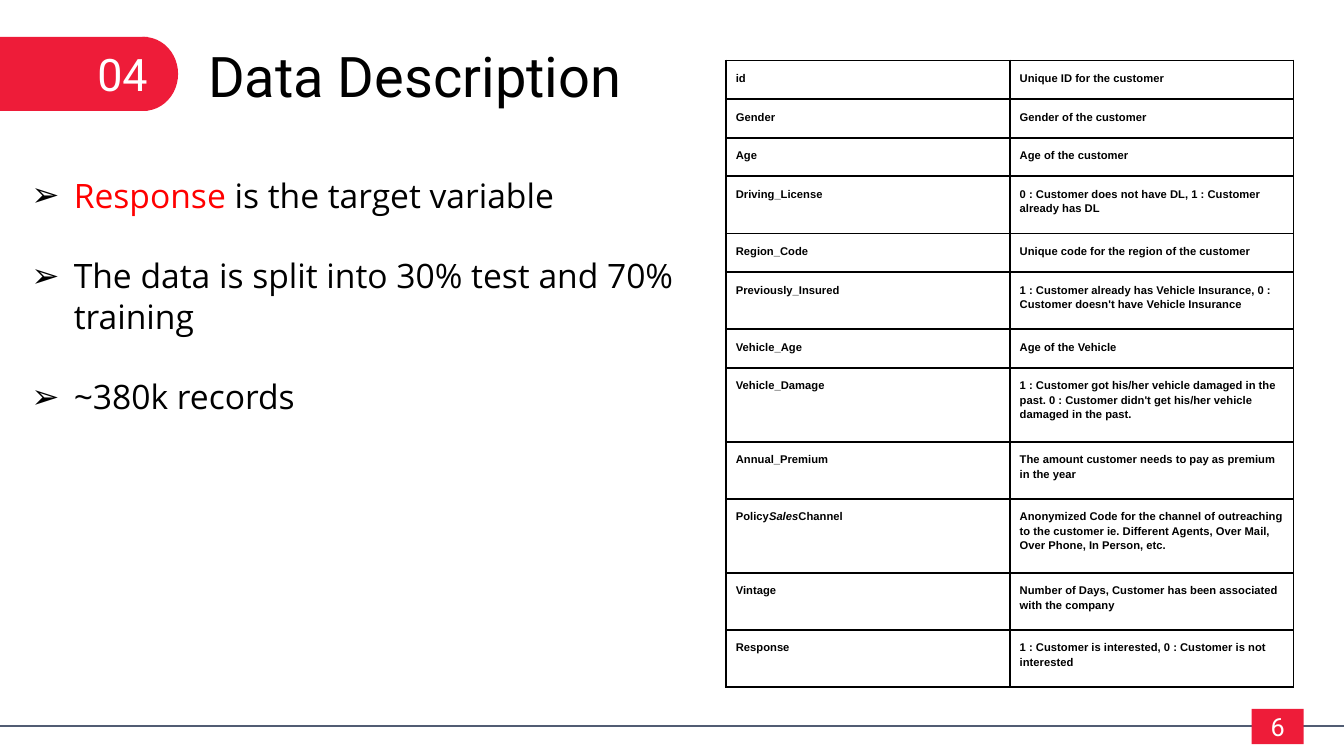
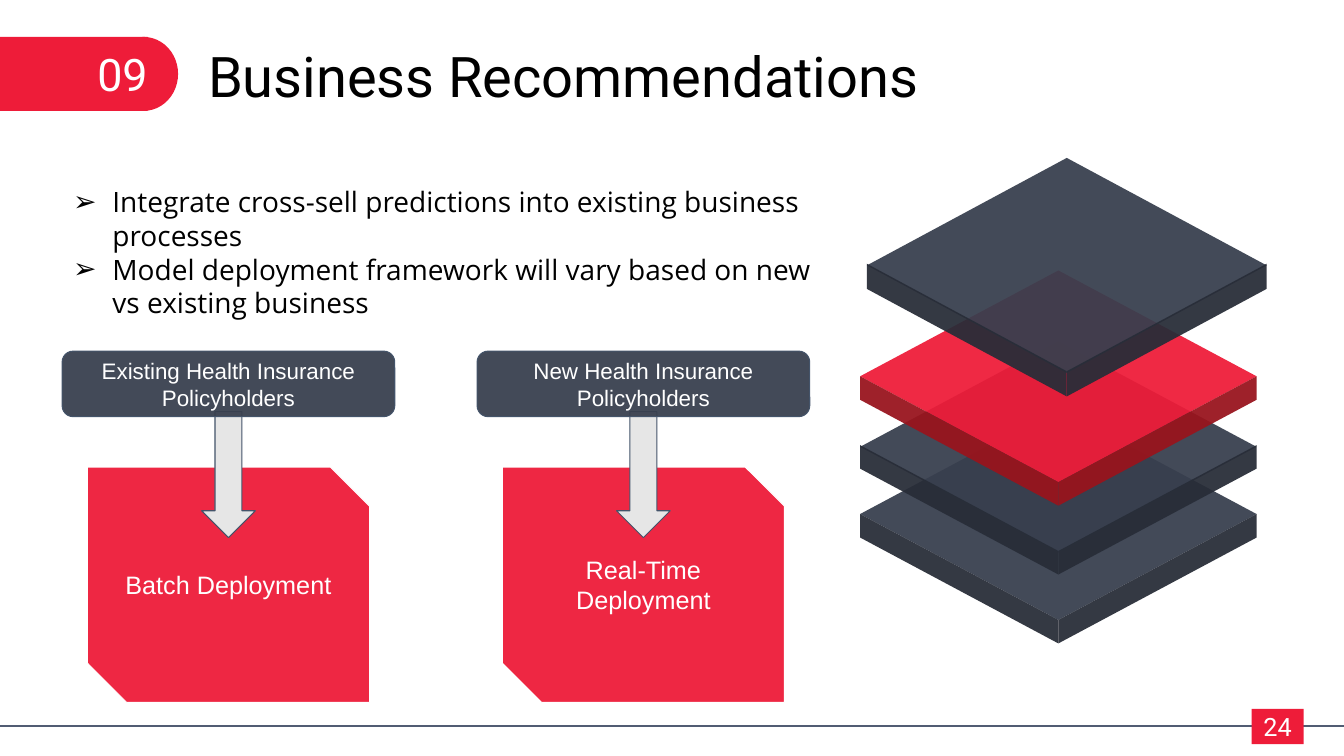
from lxml import etree
from pptx import Presentation
from pptx.dml.color import RGBColor
from pptx.enum.shapes import MSO_CONNECTOR, MSO_SHAPE
from pptx.enum.text import MSO_ANCHOR, PP_ALIGN
from pptx.oxml import parse_xml
from pptx.oxml.ns import qn
from pptx.util import Inches, Pt

RECTANGLE = MSO_SHAPE.RECTANGLE
OVAL = MSO_SHAPE.OVAL
ROUNDED = MSO_SHAPE.ROUNDED_RECTANGLE
SNIPPED = MSO_SHAPE.SNIP_2_DIAG_RECTANGLE
ARROW = MSO_SHAPE.DOWN_ARROW
STRAIGHT = MSO_CONNECTOR.STRAIGHT
CENTER = PP_ALIGN.CENTER
LEFT = PP_ALIGN.LEFT
MIDDLE = MSO_ANCHOR.MIDDLE

COLORS = {
    "red": "EE1C39", "dark red": "98141D", "slate": "383F4E",
    "dark slate": "282D38", "rule": "515C73", "outline": "44546A",
    "gray": "E6E6E6", "white": "FFFFFF", "black": "000000",
    "highlight": "FF0000",
}
DRAWING = "http://schemas.openxmlformats.org/drawingml/2006/main"
BULLET = "➢"

deck = Presentation()
deck.slide_width = Inches(13.33)
deck.slide_height = Inches(7.5)
COLUMN = deck.slide_width // 800
ROW = deck.slide_height // 450


def paint(shape, fill, opacity=100, line=None):
    shape.shadow.inherit = False
    shape.fill.solid()
    shape.fill.fore_color.rgb = RGBColor.from_string(COLORS[fill])
    if opacity < 100:
        color = shape._element.spPr.find(qn("a:solidFill"))[0]
        etree.SubElement(color, qn("a:alpha"), val=str(opacity * 1000))
    if line:
        shape.line.color.rgb = RGBColor.from_string(COLORS[line])
        shape.line.width = Pt(0.75)
    else:
        shape.line.fill.background()


def write(frame, texts, size, font, color, align=LEFT, inset=0.05):
    frame.word_wrap = True
    frame.margin_top = frame.margin_bottom = Inches(inset)
    for index, text in enumerate(texts):
        para = frame.add_paragraph() if index else frame.paragraphs[0]
        para.alignment = align
        for part in text.split("|"):
            span = para.add_run()
            span.text = part
            span.font.size = Pt(size)
            span.font.name = font
            span.font.color.rgb = RGBColor.from_string(COLORS[color])


slides = [
    {"section": "04", "title": "Data Description", "number": "6",
     "box": (8, 98, 413, 158), "size": 24, "gap": 28.8, "hang": 0.42,
     "bullets": ["Response| is the target variable",
                 "The data is split into 30% test and 70% training",
                 "~380k records"]},
    {"section": "09", "title": "Business Recommendations", "number": "24",
     "box": (31, 104, 466, 113), "size": 20, "gap": 0, "hang": 0.39,
     "bullets": ["Integrate cross-sell predictions into existing business processes",
                 "Model deployment framework will vary based on new vs existing business"]},
]

for content in slides:
    page = deck.slides.add_slide(deck.slide_layouts[6])
    rule = page.shapes.add_connector(STRAIGHT, 0, 432 * ROW, deck.slide_width, 432 * ROW)
    rule.line.color.rgb = RGBColor.from_string(COLORS["rule"])
    rule.line.width = Pt(1.5)
    etree.SubElement(rule._element.spPr, qn("a:effectLst"))

    for kind, left, top, width, height in [
        (RECTANGLE, 0, 22, 88, 44),
        (OVAL, 65, 22, 41, 44),
        (RECTANGLE, 745, 422, 31, 21),
    ]:
        block = page.shapes.add_shape(kind, left * COLUMN, top * ROW, width * COLUMN, height * ROW)
        paint(block, "red")
    block.text_frame.vertical_anchor = MIDDLE
    write(block.text_frame, [content["number"]], 18, "Roboto", "white", CENTER)

    for text, left, top, width, height, size, color in [
        (content["section"], 52, 25, 75, 38, 32, "white"),
        (content["title"], 118, 22, 545, 46, 40, "black"),
    ]:
        box = page.shapes.add_textbox(left * COLUMN, top * ROW, width * COLUMN, height * ROW)
        write(box.text_frame, [text], size, "Roboto", color)

    left, top, width, height = content["box"]
    box = page.shapes.add_textbox(left * COLUMN, top * ROW, width * COLUMN, height * ROW)
    write(box.text_frame, content["bullets"], content["size"], "Open Sans", "black", inset=0.1)
    for index, para in enumerate(box.text_frame.paragraphs):
        para.space_before = Pt(content["gap"] if index else 0)
        properties = para._p.get_or_add_pPr()
        properties.set("marL", str(Inches(0.5)))
        properties.set("indent", str(-Inches(content["hang"])))
        bullet_color = etree.SubElement(properties, qn("a:buClr"))
        etree.SubElement(bullet_color, qn("a:srgbClr"), val=COLORS["black"])
        etree.SubElement(properties, qn("a:buFont"), typeface="Arial")
        etree.SubElement(properties, qn("a:buChar"), char=BULLET)

data_page, advice_page = deck.slides

target = data_page.shapes[-1].text_frame.paragraphs[0].runs[0]
target.font.color.rgb = RGBColor.from_string(COLORS["highlight"])

fields = [
    ("id", "Unique ID for the customer", 1),
    ("Gender", "Gender of the customer", 1),
    ("Age", "Age of the customer", 1),
    ("Driving_License", "0 : Customer does not have DL, 1 : Customer already has DL", 2),
    ("Region_Code", "Unique code for the region of the customer", 1),
    ("Previously_Insured", "1 : Customer already has Vehicle Insurance, 0 : Customer doesn't have Vehicle Insurance", 2),
    ("Vehicle_Age", "Age of the Vehicle", 1),
    ("Vehicle_Damage", "1 : Customer got his/her vehicle damaged in the past. 0 : Customer didn't get his/her vehicle damaged in the past.", 3),
    ("Annual_Premium", "The amount customer needs to pay as premium in the year", 2),
    ("Policy|Sales|Channel", "Anonymized Code for the channel of outreaching to the customer ie. Different Agents, Over Mail, Over Phone, In Person, etc.", 3),
    ("Vintage", "Number of Days, Customer has been associated with the company", 2),
    ("Response", "1 : Customer is interested, 0 : Customer is not interested", 2),
]
row_heights = {1: 23, 2: 34, 3: 44}
table_height = sum(row_heights[lines] for name, meaning, lines in fields)
table = data_page.shapes.add_table(
    len(fields), 2, 432 * COLUMN, 36 * ROW, 338 * COLUMN, table_height * ROW).table
table.first_row = False
table.horz_banding = False
for row, (name, meaning, lines) in zip(table.rows, fields):
    row.height = row_heights[lines] * ROW
    for cell, text in zip(row.cells, (name, meaning)):
        cell.fill.background()
        cell.margin_left = cell.margin_right = Inches(0.1)
        cell.margin_top = cell.margin_bottom = Inches(0.1)
        write(cell.text_frame, [text], 8, "Arial", "black")
        para = cell.text_frame.paragraphs[0]
        para.line_spacing = 1.15
        for index, span in enumerate(para.runs):
            span.font.bold = True
            span.font.italic = index == 1
        for position, side in enumerate(("lnL", "lnR", "lnT", "lnB")):
            border = parse_xml(
                f'<a:{side} xmlns:a="{DRAWING}" w="{Pt(1.5)}"><a:solidFill>'
                f'<a:srgbClr val="{COLORS["black"]}"/></a:solidFill></a:{side}>')
            cell._tc.get_or_add_tcPr().insert(position, border)

layers = [
    (630, 306, 306, 118, 63, 14, "slate", "dark slate"),
    (630, 266, 265, 118, 63, 14, "slate", "dark slate"),
    (630, 224, 224, 118, 63, 14, "red", "dark red"),
    (635, 158, 157, 119, 64, 15, "slate", "dark slate"),
]
for center, middle, edge, reach, rise, depth, top_color, side_color in layers:
    diamond = [(center + reach, middle), (center, middle + rise),
               (center - reach, middle), (center, middle - rise)]
    faces = [(diamond, top_color)]
    for corner in (center + reach, center - reach):
        side = [(corner, edge), (center, edge + rise),
                (center, edge + rise + depth), (corner, edge + depth)]
        faces.append((side, side_color))
    for points, color in faces:
        builder = advice_page.shapes.build_freeform(*points[0], scale=(COLUMN, ROW))
        builder.add_line_segments(points[1:], close=True)
        paint(builder.convert_to_shape(), color, 94)

flows = [
    ("Existing Health Insurance Policyholders", "Batch Deployment"),
    ("New Health Insurance Policyholders", "Real-Time Deployment"),
]
for index, (audience, deployment) in enumerate(flows):
    center = 136 + 247 * index
    for kind, text, size, width, top, height, fill, opacity, line in [
        (SNIPPED, deployment, 18, 168, 278, 140, "red", 95, "white"),
        (ARROW, "", 18, 32, 245, 75, "gray", 100, "outline"),
        (ROUNDED, audience, 16, 198, 209, 39, "slate", 94, "outline"),
    ]:
        step = advice_page.shapes.add_shape(
            kind, (center - width // 2) * COLUMN, top * ROW, width * COLUMN, height * ROW)
        paint(step, fill, opacity, line)
        if text:
            step.text_frame.vertical_anchor = MIDDLE
            write(step.text_frame, [text], size, "Arial", "white", CENTER, 0.1)

deck.save("out.pptx")
